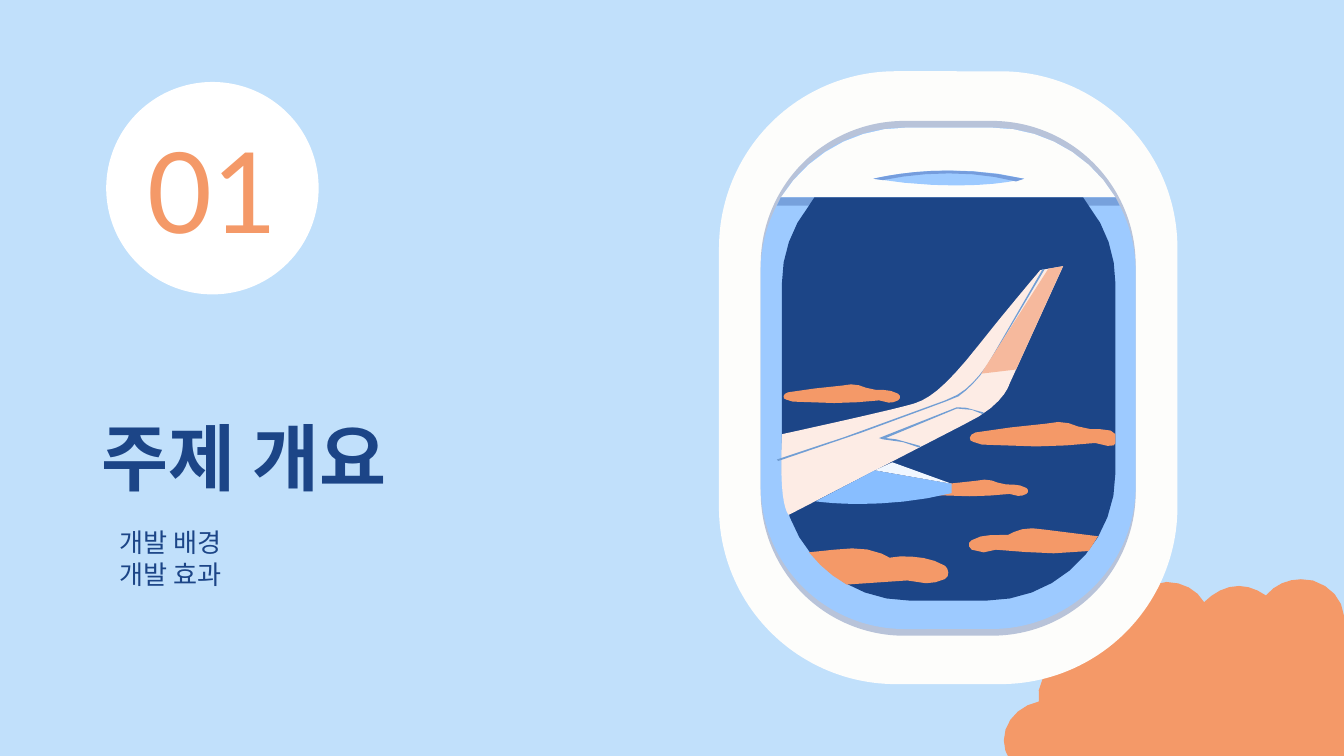
import math

import pptx
import pptx.util
import pptx.dml.color
import pptx.enum.shapes
import pptx.enum.text

Pt = pptx.util.Pt
RGB = pptx.dml.color.RGBColor
SHAPE = pptx.enum.shapes.MSO_SHAPE
ANCHOR = pptx.enum.text.MSO_ANCHOR
ALIGN = pptx.enum.text.PP_ALIGN

SKY = RGB(0xC1, 0xE0, 0xFB)
NAVY = RGB(0x1C, 0x45, 0x87)
ORANGE = RGB(0xF4, 0x99, 0x68)
WHITE = RGB(0xFF, 0xFF, 0xFF)
FRAME = RGB(0xFD, 0xFD, 0xFB)
RIM = RGB(0xB8, 0xC3, 0xD9)
PANE = RGB(0x9D, 0xCA, 0xFF)
SILL = RGB(0x77, 0xA1, 0xDC)
HANDLE_SHADE = RGB(0x75, 0x9D, 0xDD)
WING_PINK = RGB(0xFD, 0xEC, 0xE5)
SEAM_BLUE = RGB(0x71, 0x9E, 0xD4)
TIP_PEACH = RGB(0xF6, 0xB9, 0x9D)
ENGINE_BLUE = RGB(0x88, 0xBE, 0xFF)
PYLON_WHITE = RGB(0xF1, 0xF7, 0xFF)

FONT = "Lato"
FLATNESS = 0.3
GLASS_RIGHT = 597.6

CORNER_CLOUD = [
    (697, 310.3), (690, 310.3, 683, 313.2, 678.2, 319),
    (673.9, 316, 668.9, 313.9, 663.8, 313.9), (656.6, 313.9, 650.2, 317.5, 645.1, 322.6),
    (641.5, 316, 633.6, 311.8, 625, 311.8), (621.4, 312.5),
    (611.3, 313.9, 604.1, 321.1, 602.6, 329.8), (598.3, 326.2, 592.6, 324.7, 587.5, 324.7),
    (582.5, 324.7, 577.4, 326.2, 573.1, 329), (564.5, 335.5, 562.3, 346.3, 567.4, 355),
    (559.4, 359.3, 555.1, 367.9, 556.6, 375.8), (545.8, 378, 537.8, 386.6, 537.8, 396.7),
    (537.8, 406, 545, 414.7, 556.6, 416.9), (720, 416.9), (720, 329.8),
    (719.3, 321.1, 712.8, 313.9, 703.4, 311)]
BLIND = [
    (485.3, 68.4), (457.9, 68.4, 432.7, 82.8, 418.3, 105.8), (597.6, 105.8),
    (583.9, 82.8, 558.7, 68.4, 531.4, 68.4)]
HANDLE = [
    (508.3, 91.4), (484.6, 91.4, 468, 95.8, 468, 95.8),
    (485.3, 98.6, 500.4, 99.4, 512.6, 99.4), (536.4, 99.4, 548.6, 95.8, 548.6, 95.8),
    (534.2, 92.2, 519.8, 91.4, 508.3, 91.4)]
HANDLE_TOP = [
    (508.3, 91.4), (484.6, 91.4, 468, 95.8, 468, 95.8), (473, 96.5),
    (483.8, 94.3, 495.4, 92.9, 508.3, 92.9), (521.3, 92.9, 532.8, 94.3, 544.3, 97.2),
    (548.6, 95.8), (535, 92.9, 522, 91.4, 508.3, 91.4)]
SILL_STRIP = [(418.3, 105.8), (597.6, 105.8), (599.8, 110.2), (416.2, 110.2)]
GLASS = [
    (436.3, 105.8), (433.4, 110.2), (424.1, 121.7, 418.9, 136.8, 418.9, 151.9),
    (418.9, 253.4), (418.9, 290.9, 449.3, 321.8, 487.4, 321.8), (528.5, 321.8),
    (567, 321.8, 597.6, 290.9, 597.6, 253.4), (597.6, 151.9),
    (597.6, 136.8, 592.6, 121.7, 583.2, 110.2), (580.3, 105.8)]
SMALL_CLOUD = [
    (36, 0), (31, 0.7), (21.6, 1.4, 11.5, 2.9, 2.2, 4.3),
    (-0.6, 5, -1, 7.9, 1.4, 8.2), (3.6, 9.4, 5.8, 9.4, 8.6, 9.4),
    (27, 10), (35.3, 10, 43.2, 9.4, 51.1, 8.6), (56.2, 9.8),
    (57.6, 10, 59.8, 9.4, 61.2, 8.6), (62.6, 7.9, 62.6, 5.8, 61.2, 5),
    (57.6, 2.9, 53.3, 2.9, 49, 2.9), (43.9, 1.8), (41.8, 0.7, 38.9, 0, 36, 0)]
LEFT_CLOUD = [
    (456.5, 293.8), (447.1, 294.5), (433.4, 295.9),
    (439.2, 303.1, 445.7, 308.9, 453.6, 313.2), (486, 311), (496.1, 312.5),
    (499.7, 312.5, 502.6, 311.8, 506.2, 310.3), (509, 308.9, 508.3, 304.6, 506.2, 303.1),
    (499, 298.8, 491, 298.1, 482.4, 298.1), (476.6, 298.8), (472.3, 296.6),
    (467.3, 294.5, 462.2, 293.8, 456.5, 293.8)]
RIGHT_CLOUD = [
    (553, 283), (549.4, 283, 545.8, 283.7, 542.9, 285.1), (540, 286.6), (535.7, 286.6),
    (530.6, 286.6, 524.9, 286.6, 520.6, 289.4), (518.4, 290.2, 518.4, 293, 520.6, 294.5),
    (527, 295.9), (533.5, 294.5), (543.6, 295.2, 554.4, 296.4, 564.5, 296.4),
    (583.2, 295.2), (588.2, 287.3), (559.4, 283.7)]
WING = [
    (569.5, 142.6), (557.3, 144.7), (557.3, 144.7, 540, 165, 524.2, 185),
    (507.6, 205.9, 499, 213.1, 490.3, 216), (481.7, 218.9, 419, 232.6, 419, 232.6),
    (416.9, 272.2, 422.6, 275.8, 422.6, 275.8), (516.2, 227.5),
    (537.8, 217.4, 540.7, 205.9, 540.7, 205.9)]
WING_SEAM = [
    (558.7, 144), (529.2, 195.1), (527, 198, 520.6, 207.4, 512.6, 211.7),
    (506.2, 214.6), (452.9, 234), (416.2, 246.2), (416.9, 247), (461.5, 231.8),
    (494.6, 219.6), (506.2, 215.3), (513.4, 212.4),
    (522, 206.6, 529.2, 195.8, 529.2, 195.8), (559.4, 144.7)]
WING_TIP = [(569.5, 142.6), (561.6, 144), (525.6, 200.2), (544.3, 198)]
FLAP_SEAM = [
    (512.6, 218.2), (470.9, 234.7), (473, 235.4), (483.8, 236.9), (492.5, 239.8),
    (493.2, 239), (480.2, 235.4), (474.5, 234.7), (512.6, 218.9), (520.6, 219.6),
    (526.3, 221.8), (527, 221), (517.7, 218.5)]
ENGINE = [
    (468.7, 252), (437, 268.6), (437, 268.6, 446.4, 270, 460, 270),
    (474.5, 270, 492.5, 268.6, 509.8, 264.2), (509.8, 259.2)]
PYLON = [(478.1, 247.7), (468.7, 252), (509.8, 259.2)]


def flatten(outline):
    """Turn corner points and cubic curves into vertices, as few as the bend allows."""
    points = [outline[0]]
    for step in outline[1:]:
        if len(step) == 2:
            points.append(step)
            continue
        x0, y0 = points[-1]
        x1, y1, x2, y2, x3, y3 = step
        bend = max(math.hypot(x0 - 2 * x1 + x2, y0 - 2 * y1 + y2),
                   math.hypot(x1 - 2 * x2 + x3, y1 - 2 * y2 + y3))
        count = max(1, math.ceil(math.sqrt(0.75 * bend / FLATNESS)))
        for i in range(1, count + 1):
            t = i / count
            u = 1 - t
            a, b, c, d = u ** 3, 3 * u * u * t, 3 * u * t * t, t ** 3
            points.append((a * x0 + b * x1 + c * x2 + d * x3,
                           a * y0 + b * y1 + c * y2 + d * y3))
    return points


def paint(sp, color):
    """Give a shape a flat fill without line or shadow."""
    sp.shadow.inherit = False
    sp.fill.solid()
    sp.fill.fore_color.rgb = color
    sp.line.fill.background()


def add_outline(s, outline, color, left=0, top=0, scale=1, right=720):
    """Draw an outline, moved, scaled and cut off at a right edge."""
    points = [(Pt(min(left + x * scale, right)), Pt(top + y * scale))
              for x, y in flatten(outline)]
    builder = s.shapes.build_freeform(*points[0])
    builder.add_line_segments(points[1:], close=True)
    paint(builder.convert_to_shape(), color)


def add_panel(s, left, top, width, height, radius, color):
    """Draw a rounded window panel."""
    sp = s.shapes.add_shape(SHAPE.ROUNDED_RECTANGLE, Pt(left), Pt(top), Pt(width), Pt(height))
    sp.adjustments[0] = radius / min(width, height)
    paint(sp, color)


def add_text(s, box, text, size, color, anchor=ANCHOR.TOP, align=ALIGN.LEFT, bold=False):
    """Add a text box with one style for all its paragraphs."""
    tf = s.shapes.add_textbox(*map(Pt, box)).text_frame
    tf.word_wrap = True
    tf.vertical_anchor = anchor
    tf.margin_left = tf.margin_top = tf.margin_right = tf.margin_bottom = Pt(7.2)
    tf.text = text
    for p in tf.paragraphs:
        p.alignment = align
        for r in p.runs:
            r.font.name, r.font.size, r.font.bold = FONT, Pt(size), bold
            r.font.color.rgb = color


def main():
    """Build the section slide."""
    prs = pptx.Presentation()
    prs.slide_width, prs.slide_height = Pt(720), Pt(405)
    s = prs.slides.add_slide(prs.slide_layouts[6])
    s.background.fill.solid()
    s.background.fill.fore_color.rgb = SKY

    add_outline(s, CORNER_CLOUD, ORANGE)
    add_panel(s, 385.2, 38.2, 245.6, 328.3, 94.7, FRAME)
    for top, height, color in [(64.8, 275.8, RIM), (68.4, 268.6, PANE)]:
        add_panel(s, 407.5, top, 200.9, height, 77, color)
    for outline, color in [(BLIND, FRAME), (HANDLE, PANE), (HANDLE_TOP, HANDLE_SHADE),
                           (SILL_STRIP, SILL), (GLASS, NAVY)]:
        add_outline(s, outline, color)
    for left, top, scale in [(419.9, 205.9, 1), (495.4, 257, 0.89), (519.8, 226.1, 1.31)]:
        add_outline(s, SMALL_CLOUD, ORANGE, left, top, scale, GLASS_RIGHT)
    for outline, color in [(WING, WING_PINK), (WING_SEAM, SEAM_BLUE), (WING_TIP, TIP_PEACH),
                           (FLAP_SEAM, SEAM_BLUE), (ENGINE, ENGINE_BLUE), (PYLON, PYLON_WHITE),
                           (LEFT_CLOUD, ORANGE), (RIGHT_CLOUD, ORANGE)]:
        add_outline(s, outline, color)

    badge = (56.9, 43.9, 113.8, 113.8)
    add_text(s, (47.5, 208.8, 345.6, 66.2), "주제 개요", 39, NAVY, ANCHOR.BOTTOM, bold=True)
    paint(s.shapes.add_shape(SHAPE.OVAL, *map(Pt, badge)), WHITE)
    add_text(s, badge, "01", 60, ORANGE, ANCHOR.MIDDLE, ALIGN.CENTER)
    add_text(s, (56.9, 275, 185.8, 82.8), "개발 배경\n개발 효과", 14, NAVY)
    prs.save("out.pptx")


if __name__ == "__main__":
    main()
